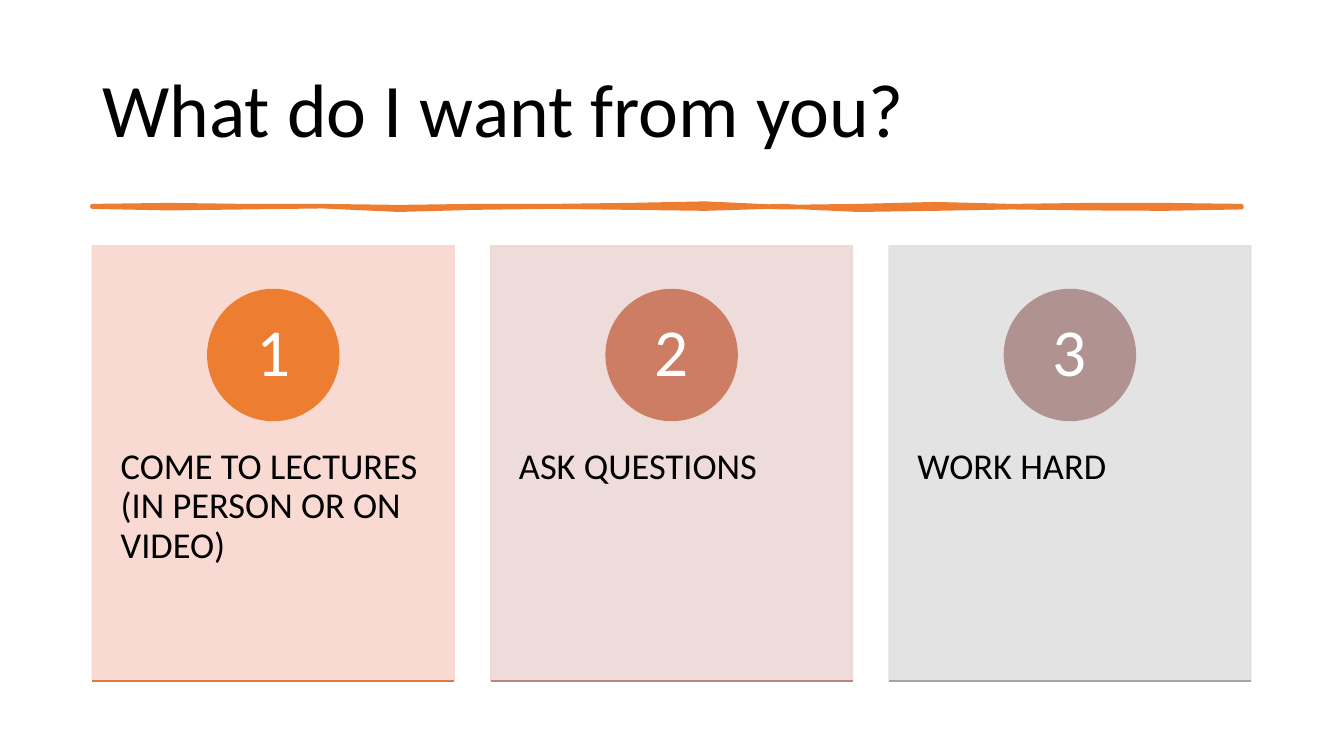
"""Build the slide that lists three wishes for students on numbered cards."""
import pptx
import pptx.util
import pptx.dml.color
import pptx.enum.shapes
import pptx.enum.text
import lxml.etree

Pt = pptx.util.Pt
SHAPE = pptx.enum.shapes.MSO_SHAPE
ALIGN = pptx.enum.text.PP_ALIGN
ANCHOR = pptx.enum.text.MSO_ANCHOR
COLORS = {"text": "000000", "number": "FFFFFF", "stroke": "ED7D31"}


def paint(part, color, weight):
    rgb = pptx.dml.color.RGBColor.from_string(color)
    part.shadow.inherit = False
    part.fill.solid()
    part.fill.fore_color.rgb = rgb
    part.line.color.rgb = rgb
    part.line.width = Pt(weight)


def write(part, words, size, color, align, anchor, inset_x, inset_y):
    frame = part.text_frame
    frame.text = words
    frame_format = {
        "word_wrap": True, "auto_size": pptx.enum.text.MSO_AUTO_SIZE.NONE,
        "vertical_anchor": anchor,
        "margin_left": Pt(inset_x), "margin_right": Pt(inset_x),
        "margin_top": Pt(inset_y), "margin_bottom": Pt(inset_y),
    }
    for key, value in frame_format.items():
        setattr(frame, key, value)
    paragraph = frame.paragraphs[0]
    paragraph.alignment = align
    paragraph.line_spacing = 0.9
    font = paragraph.runs[0].font
    for key, value in {"name": "Calibri", "size": Pt(size)}.items():
        setattr(font, key, value)
    font.color.rgb = pptx.dml.color.RGBColor.from_string(color)


deck = pptx.Presentation()
deck.slide_width, deck.slide_height = Pt(960), Pt(540)
slide = deck.slides.add_slide(deck.slide_layouts[5])
shapes = slide.shapes

left = 66
heading = shapes.title
place = {"left": left, "top": 29, "width": 828, "height": 104}
for key, value in place.items():
    setattr(heading, key, Pt(value))
write(heading, "What do I want from you?", 54, COLORS["text"],
      ALIGN.LEFT, ANCHOR.MIDDLE, 7.2, 3.6)

stroke_top = [147.3, 146.6, 147.3, 147.3, 148, 147.3, 147.3, 146.6,
              145.5, 148, 147.3, 145.9, 147.3, 146.6, 146.6, 147.3]
stroke_bottom = [147.6, 148.7, 148, 147.3, 149.8, 148.3, 147.6, 148.3,
                 149, 147.3, 149.8, 149, 148, 148.7, 149, 148]
step = 820.8 / (len(stroke_top) - 1)
upper, lower = [
    [(Pt(left + i * step), Pt(y)) for i, y in enumerate(edge)]
    for edge in (stroke_top, stroke_bottom)
]
outline = upper + lower[::-1]
builder = shapes.build_freeform(*outline[0], scale=1.0)
builder.add_line_segments(outline[1:], close=True)
paint(builder.convert_to_shape(), COLORS["stroke"], 3.25)

wishes = [
    ("COME TO LECTURES (IN PERSON OR ON VIDEO)", "F8D7CE", "ED7D31", "DC7A4B"),
    ("ASK QUESTIONS", "EDD9D7", "CC7D64", "BD867B"),
    ("WORK HARD", "E1E1E1", "B09391", "A5A5A5"),
]
card_width, card_pitch, card_top, card_bottom = 258.5, 284.5, 175.5, 486.5
badge_size = 93.6
for number, (wish, card_color, badge_color, base_color) in enumerate(wishes, 1):
    x = left + (number - 1) * card_pitch
    card = shapes.add_shape(SHAPE.RECTANGLE, Pt(x), Pt(card_top),
                            Pt(card_width), Pt(card_bottom - card_top))
    paint(card, card_color, 1)
    for color in card._element.spPr.iter(pptx.oxml.ns.qn("a:srgbClr")):
        lxml.etree.SubElement(color, pptx.oxml.ns.qn("a:alpha"), val="90000")

    caption = shapes.add_textbox(Pt(x), Pt(294), Pt(card_width), Pt(186.5))
    write(caption, wish, 26, COLORS["text"], ALIGN.LEFT, ANCHOR.TOP, 20.2, 26)

    badge = shapes.add_shape(SHAPE.OVAL, Pt(x + (card_width - badge_size) / 2),
                             Pt(206.8), Pt(badge_size), Pt(badge_size))
    paint(badge, badge_color, 1)
    write(badge, str(number), 48, COLORS["number"],
          ALIGN.CENTER, ANCHOR.MIDDLE, 7.2, 0.7)

    base = shapes.add_connector(pptx.enum.shapes.MSO_CONNECTOR.STRAIGHT,
                                Pt(x), Pt(card_bottom),
                                Pt(x + card_width), Pt(card_bottom))
    base.line.color.rgb = pptx.dml.color.RGBColor.from_string(base_color)
    base.line.width = Pt(1)
    lxml.etree.SubElement(base._element.spPr, pptx.oxml.ns.qn("a:effectLst"))

deck.save("out.pptx")
